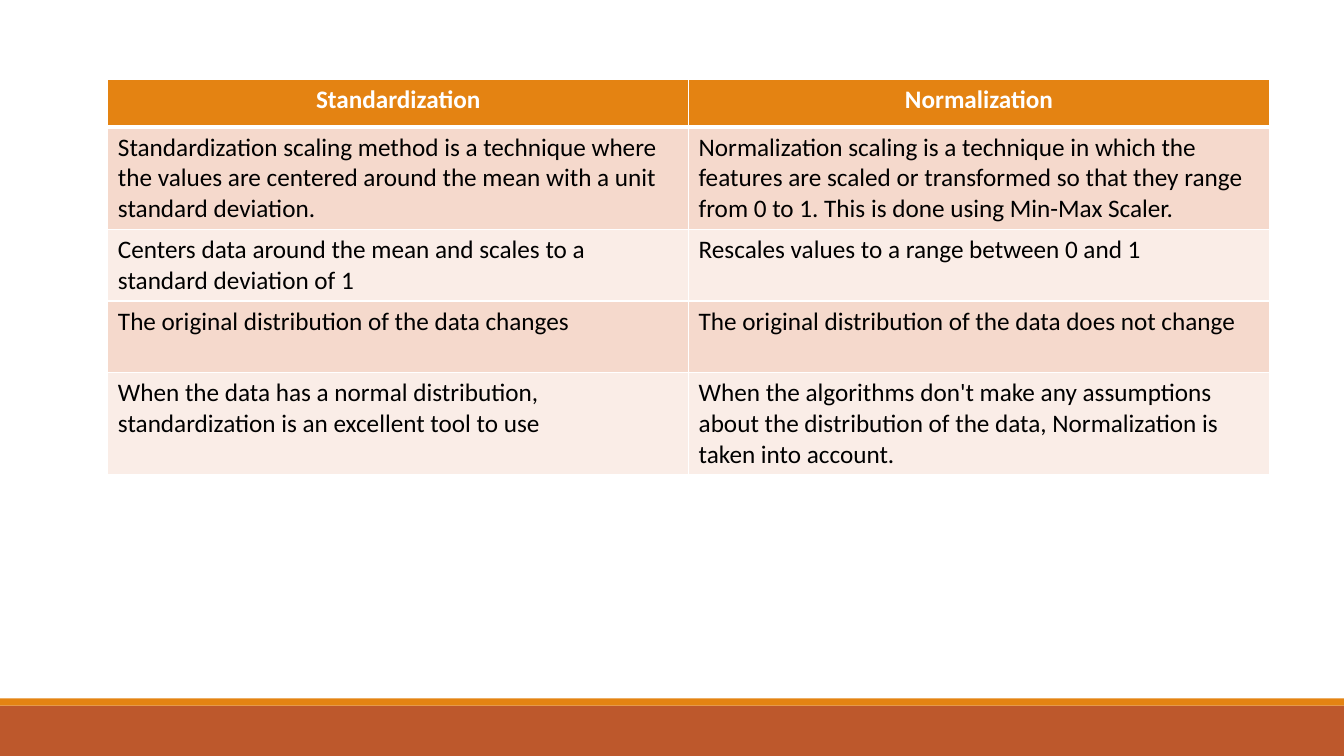
import pptx
import pptx.dml.color
import pptx.enum.shapes
import pptx.enum.text
import pptx.oxml
import pptx.oxml.ns
import pptx.util

Inches = pptx.util.Inches
RGBColor = pptx.dml.color.RGBColor

WHITE = RGBColor(0xFF, 0xFF, 0xFF)
BLACK = RGBColor(0x00, 0x00, 0x00)
ORANGE = RGBColor(0xE4, 0x83, 0x12)
RUST = RGBColor(0xBD, 0x58, 0x2C)
BAND_DARK = RGBColor(0xF5, 0xD9, 0xCC)
BAND_LIGHT = RGBColor(0xFA, 0xED, 0xE7)

FONT = "Calibri"
HEADER_HEIGHT = 0.47
BODY_HEIGHT = 0.71
COMPARISON = [
    ("Standardization", "Normalization"),
    ("Standardization scaling method is a technique where the values are "
     "centered around the mean with a unit standard deviation. ",
     "Normalization scaling is a technique in which the features are scaled or "
     "transformed so that they range from 0 to 1. This is done using Min-Max Scaler."),
    ("Centers data around the mean and scales to a standard deviation of 1",
     "Rescales values to a range between 0 and 1"),
    ("The original distribution of the data changes",
     "The original distribution of the data does not change"),
    ("When the data has a normal distribution, standardization is an excellent tool to use",
     "When the algorithms don't make any assumptions about the distribution of "
     "the data, Normalization is taken into account. "),
]


def add_bar(slide, top, height, color):
    """Add a full-width footer bar."""
    bar = slide.shapes.add_shape(
        pptx.enum.shapes.MSO_SHAPE.RECTANGLE,
        0, Inches(top), Inches(13.33), Inches(height))
    bar.shadow.inherit = False
    bar.fill.solid()
    bar.fill.fore_color.rgb = color
    bar.line.fill.background()


def set_borders(cell, top, bottom):
    """Draw white borders, with top and bottom widths in points."""
    properties = cell._tc.get_or_add_tcPr()
    for side, width in (("L", 1), ("R", 1), ("T", top), ("B", bottom)):
        properties.append(pptx.oxml.parse_xml(
            f'<a:ln{side} {pptx.oxml.ns.nsdecls("a")} w="{pptx.util.Pt(width)}">'
            f'<a:solidFill><a:srgbClr val="{WHITE}"/></a:solidFill></a:ln{side}>'))


def fill_cell(cell, text, row_index):
    """Write and style one cell according to its row."""
    is_header = row_index == 0
    set_borders(cell, 3 if row_index == 1 else 1, 3 if is_header else 1)
    cell.fill.solid()
    band = BAND_DARK if row_index % 2 else BAND_LIGHT
    cell.fill.fore_color.rgb = ORANGE if is_header else band
    cell.text_frame.text = text
    paragraph = cell.text_frame.paragraphs[0]
    if is_header:
        paragraph.alignment = pptx.enum.text.PP_ALIGN.CENTER
    font = paragraph.runs[0].font
    font.name = FONT
    font.size = pptx.util.Pt(18)
    font.bold = is_header
    font.color.rgb = WHITE if is_header else BLACK


def add_comparison_table(slide):
    """Add the two-column comparison table."""
    heights = [HEADER_HEIGHT] + [BODY_HEIGHT] * (len(COMPARISON) - 1)
    table = slide.shapes.add_table(
        len(COMPARISON), 2, Inches(1.07), Inches(0.79),
        Inches(11.52), Inches(sum(heights))).table
    for row_index, texts in enumerate(COMPARISON):
        table.rows[row_index].height = Inches(heights[row_index])
        for column_index, text in enumerate(texts):
            fill_cell(table.cell(row_index, column_index), text, row_index)


def main():
    """Build and save the slide."""
    presentation = pptx.Presentation()
    presentation.slide_width = Inches(13.33)
    presentation.slide_height = Inches(7.5)
    slide = presentation.slides.add_slide(presentation.slide_layouts[6])
    add_bar(slide, 7, 0.5, RUST)
    add_bar(slide, 6.93, 0.07, ORANGE)
    add_comparison_table(slide)
    presentation.save("out.pptx")


main()
